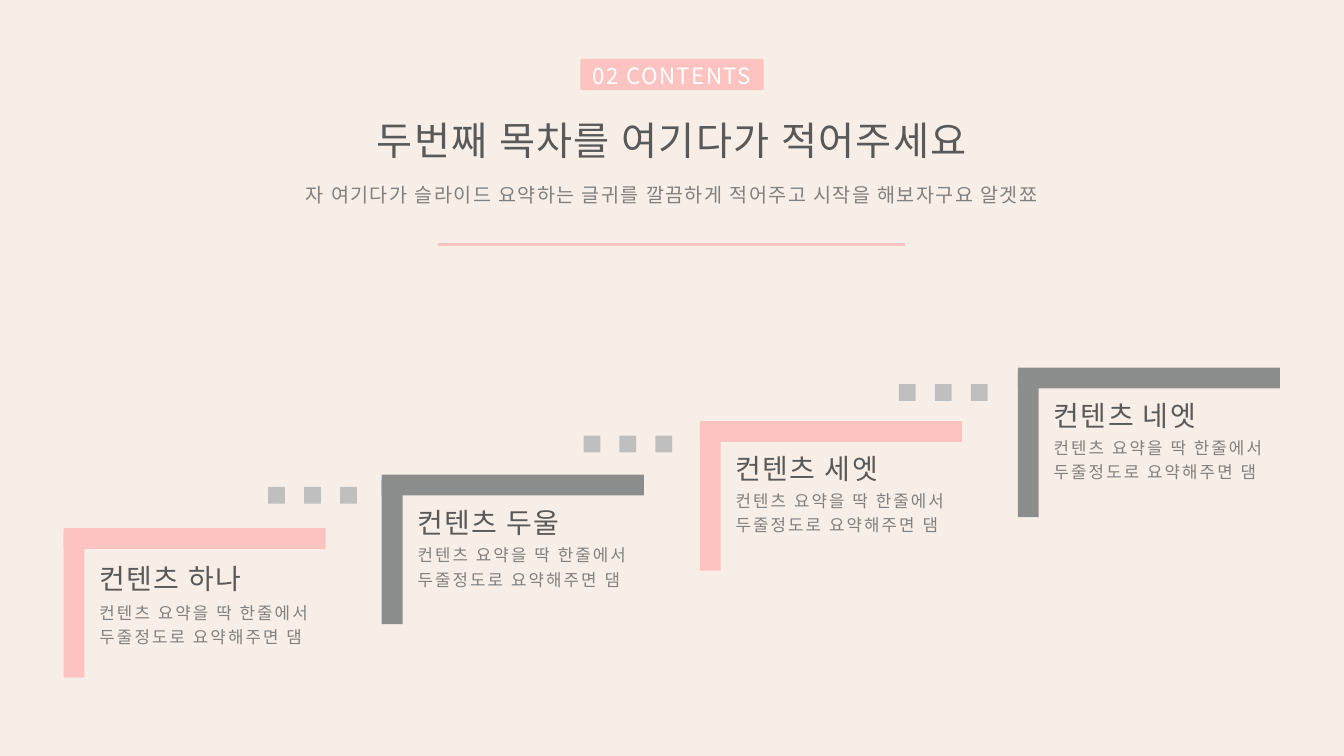
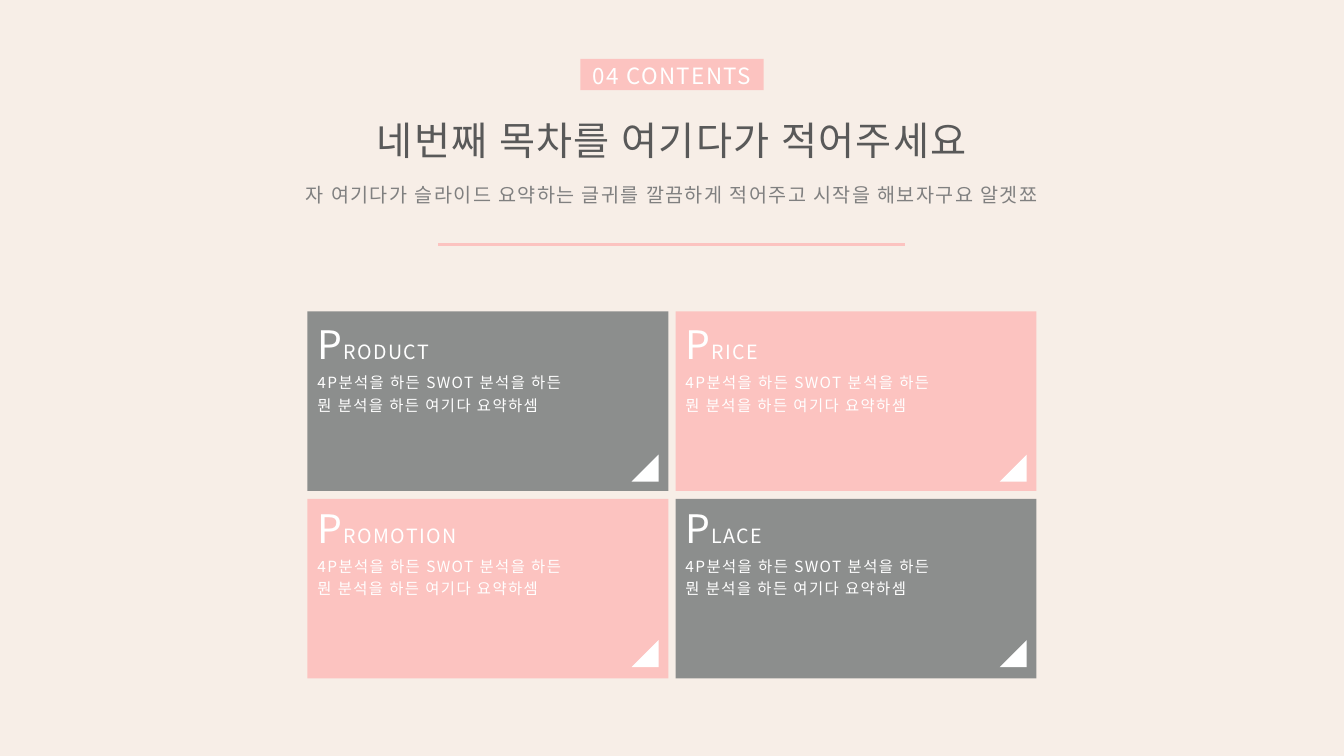
"""Build two Korean contents slides: a rising staircase and a 4P grid."""
from dataclasses import dataclass

from lxml import etree
from pptx import Presentation
from pptx.dml.color import RGBColor
from pptx.enum.shapes import MSO_CONNECTOR, MSO_SHAPE
from pptx.enum.text import PP_ALIGN
from pptx.oxml.ns import qn
from pptx.slide import Slide
from pptx.util import Pt

RECTANGLE = MSO_SHAPE.RECTANGLE
TRIANGLE = MSO_SHAPE.RIGHT_TRIANGLE
STRAIGHT = MSO_CONNECTOR.STRAIGHT
LEFT = PP_ALIGN.LEFT
CENTER = PP_ALIGN.CENTER

CREAM = RGBColor(0xF7, 0xEE, 0xE7)
PINK = RGBColor(0xFC, 0xC3, 0xC0)
GRAY = RGBColor(0x8C, 0x8E, 0x8D)
SILVER = RGBColor(0xBF, 0xBF, 0xBF)
INK = RGBColor(0x59, 0x59, 0x59)
MUTED = RGBColor(0x80, 0x80, 0x80)
WHITE = RGBColor(0xFF, 0xFF, 0xFF)

FONT = "Noto Sans CJK KR"
PAGE_WIDTH = 960
PAGE_HEIGHT = 540
SUBTITLE = "자 여기다가 슬라이드 요약하는 글귀를 깔끔하게 적어주고 시작을 해보자구요 알겟쬬"
STEP_LINES = ("컨텐츠 요약을 딱 한줄에서", "두줄정도로 요약해주면 댐")
CARD_LINES = ("4P분석을 하든 SWOT 분석을 하든", "뭔 분석을 하든 여기다 요약하셈")


@dataclass(frozen=True)
class Frame:
    left: float
    top: float
    width: float
    height: float


@dataclass(frozen=True)
class Style:
    size: float
    color: RGBColor
    align: PP_ALIGN = LEFT
    tracking: float = 1
    spacing: float = 1


@dataclass(frozen=True)
class Step:
    heading: str
    color: RGBColor
    heading_top: float
    body_top: float


@dataclass(frozen=True)
class Card:
    name: str
    color: RGBColor


@dataclass(frozen=True)
class CardRow:
    top: float
    heading_top: float
    corner_top: float
    cards: tuple[Card, ...]


BADGE = Style(16, WHITE, CENTER)
TITLE = Style(28, INK, CENTER)
SUMMARY = Style(14, MUTED, CENTER)
STEP_HEADING = Style(20, INK)
STEP_BODY = Style(12, MUTED, tracking=1.5, spacing=1.2)
CARD_HEADING = Style(14, WHITE)
CARD_BODY = Style(11, WHITE, spacing=1.2)
INITIAL_SIZE = 28

STEPS = (
    Step("컨텐츠 하나", PINK, 397.4, 424),
    Step("컨텐츠 두울", GRAY, 357.8, 383),
    Step("컨텐츠 세엣", PINK, 319, 344.2),
    Step("컨텐츠 네엣", GRAY, 280.8, 306),
)
CARD_ROWS = (
    CardRow(222.5, 225.4, 324.7, (Card("PRODUCT", GRAY), Card("PRICE", PINK))),
    CardRow(356.4, 356.4, 457.2, (Card("PROMOTION", PINK), Card("PLACE", GRAY))),
)


def centered(top: float, width: float, height: float) -> Frame:
    return Frame((PAGE_WIDTH - width) / 2, top, width, height)


def add_block(page: Slide, frame: Frame, color: RGBColor,
              kind: MSO_SHAPE = RECTANGLE, rotation: float = 0) -> None:
    block = page.shapes.add_shape(
        kind, Pt(frame.left), Pt(frame.top), Pt(frame.width), Pt(frame.height))
    block.shadow.inherit = False
    block.fill.solid()
    block.fill.fore_color.rgb = color
    block.line.fill.background()
    block.rotation = rotation


def add_text(page: Slide, frame: Frame, lines: tuple[str, ...], style: Style,
             initial_size: float = 0) -> None:
    box = page.shapes.add_textbox(
        Pt(frame.left), Pt(frame.top), Pt(frame.width), Pt(frame.height))
    text = box.text_frame
    text.word_wrap = True
    for index, line in enumerate(lines):
        para = text.paragraphs[0] if index == 0 else text.add_paragraph()
        para.alignment = style.align
        para.line_spacing = style.spacing
        para.font.size = Pt(style.size)
        para.font.color.rgb = style.color
        para.font.name = FONT
        defaults = para._p.get_or_add_pPr().find(qn("a:defRPr"))
        defaults.set("spc", str(int(style.tracking * 100)))
        etree.SubElement(defaults, qn("a:ea"), typeface=FONT)
        if initial_size:
            initial = para.add_run()
            initial.text = line[0]
            initial.font.size = Pt(initial_size)
            line = line[1:]
        para.add_run().text = line


def add_page(deck: Presentation, badge: str, title: str) -> Slide:
    page = deck.slides.add_slide(deck.slide_layouts[6])
    add_block(page, centered(42.1, 131, 22.4), PINK)
    add_text(page, centered(79.2, 467.3, 41), (title,), TITLE)
    add_text(page, centered(41, 147, 26.6), (badge,), BADGE)
    rule = page.shapes.add_connector(
        STRAIGHT, Pt(313.2), Pt(174.6), Pt(PAGE_WIDTH - 313.2), Pt(174.6))
    rule.line.color.rgb = PINK
    rule.line.width = Pt(2.5)
    etree.SubElement(rule._element.spPr, qn("a:effectLst"))
    add_text(page, centered(127.4, 576.7, 24.5), (SUBTITLE,), SUMMARY)
    return page


def add_staircase(page: Slide) -> None:
    for index, step in enumerate(STEPS):
        left = 45.5 + 227.2 * index
        top = 377.2 - 38.2 * index
        add_block(page, Frame(left, top + 3.8, 14.9, 103), step.color)
        add_block(page, Frame(left, top, 187.2, 14.9), step.color)
        add_text(page, Frame(left + 18.5, step.heading_top, 124.6, 31.7),
                 (step.heading,), STEP_HEADING)
        add_text(page, Frame(left + 18.5, step.body_top, 175, 42.5),
                 STEP_LINES, STEP_BODY)
    for gap in range(len(STEPS) - 1):
        for dot in range(3):
            add_block(page, Frame(191.5 + 225.3 * gap + 25.7 * dot,
                                  347.8 - 36.7 * gap, 12, 12), SILVER)


def add_card_grid(page: Slide) -> None:
    for row in CARD_ROWS:
        for column, card in enumerate(row.cards):
            left = 219.6 + 262.9 * column
            add_block(page, Frame(left, row.top, 257.8, 128.2), card.color)
            add_text(page, Frame(left, row.heading_top, 120, 41),
                     (card.name,), CARD_HEADING, INITIAL_SIZE)
            add_block(page, Frame(left + 231.5, row.corner_top, 19.4, 19.4),
                      WHITE, TRIANGLE, 270)
            add_text(page, Frame(left, row.heading_top + 35.2, 205.2, 39.6),
                     CARD_LINES, CARD_BODY)


def main() -> None:
    deck = Presentation()
    deck.slide_width = Pt(PAGE_WIDTH)
    deck.slide_height = Pt(PAGE_HEIGHT)
    backdrop = deck.slide_master.background.fill
    backdrop.solid()
    backdrop.fore_color.rgb = CREAM
    add_staircase(add_page(deck, "02 CONTENTS", "두번째 목차를 여기다가 적어주세요"))
    add_card_grid(add_page(deck, "04 CONTENTS", "네번째 목차를 여기다가 적어주세요"))
    deck.save("out.pptx")


main()
